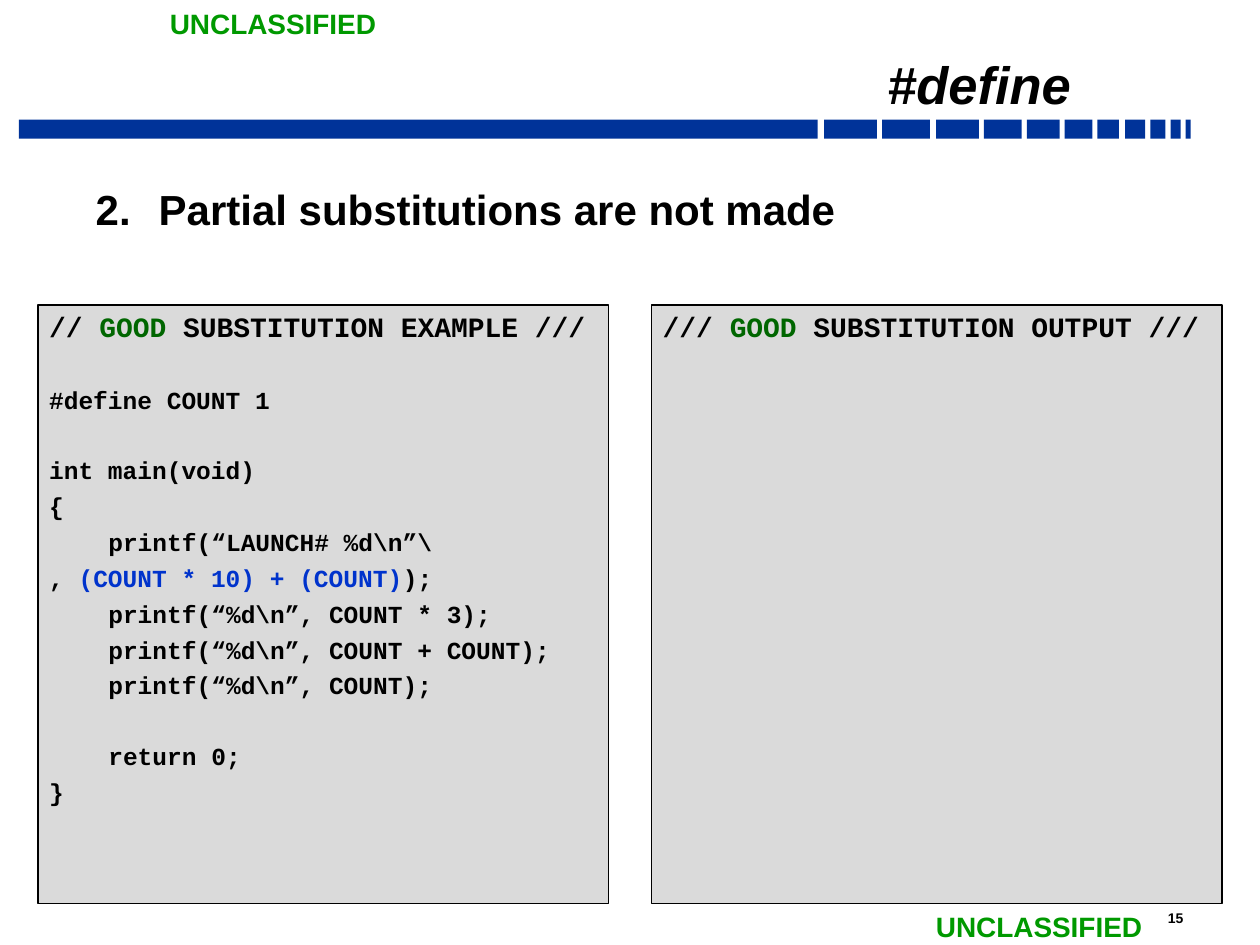
from lxml import etree
from pptx import Presentation
from pptx import util as u
from pptx.dml.color import RGBColor
from pptx.enum import shapes, text
from pptx.oxml import ns

BLACK = RGBColor(0x00, 0x00, 0x00)
NAVY = RGBColor(0x00, 0x33, 0x99)
BLUE = RGBColor(0x00, 0x33, 0xCC)
GREEN = RGBColor(0x00, 0x99, 0x00)
DARK_GREEN = RGBColor(0x00, 0x66, 0x00)
GRAY = RGBColor(0xDA, 0xDA, 0xDA)

BAR_TOP, BAR_HEIGHT = 0.95, 0.15
BARS = [
    (0.15, 6.34), (6.54, 0.42), (7, 0.38), (7.43, 0.34), (7.81, 0.3), (8.15, 0.26),
    (8.45, 0.22), (8.71, 0.17), (8.93, 0.16), (9.13, 0.12), (9.29, 0.08), (9.41, 0.04),
]
MARKINGS = [(1.25, 0), (7.33, 7.17)]
LINE_GAP, SECTION_GAP = 3.7, 23.4
CODE_INDENT = 0.47
EXAMPLE_LINES = [
    (SECTION_GAP, 0, [("#define COUNT 1", BLACK)]),
    (SECTION_GAP, 0, [("int main(void)", BLACK)]),
    (LINE_GAP, 0, [("{", BLACK)]),
    (LINE_GAP, CODE_INDENT, [("printf(“LAUNCH# %d\\n”\\", BLACK)]),
    (LINE_GAP, 0, [(", ", BLACK), ("(COUNT * 10) + (COUNT)", BLUE), (");", BLACK)]),
    (LINE_GAP, CODE_INDENT, [("printf(“%d\\n”, COUNT * 3);", BLACK)]),
    (LINE_GAP, CODE_INDENT, [("printf(“%d\\n”, COUNT + COUNT);", BLACK)]),
    (LINE_GAP, CODE_INDENT, [("printf(“%d\\n”, COUNT);", BLACK)]),
    (SECTION_GAP, CODE_INDENT, [("return 0;", BLACK)]),
    (LINE_GAP, 0, [("}", BLACK)]),
]
PANELS = [
    (5.17, "/// ", " SUBSTITUTION OUTPUT ///", []),
    (0.3, "// ", " SUBSTITUTION EXAMPLE ///", EXAMPLE_LINES),
]


class SlideBuilder:
    """Draws styled elements on the current slide."""

    def __init__(self, slide, body_font="Arial", code_font="Courier New"):
        self.slide = slide
        self.body_font = body_font
        self.code_font = code_font

    def frame(self, box, wrap=True, side=0.09, edge=0.04, anchor=text.MSO_ANCHOR.TOP):
        frame = box.text_frame
        frame.word_wrap = wrap
        frame.vertical_anchor = anchor
        frame.margin_left = frame.margin_right = u.Inches(side)
        frame.margin_top = frame.margin_bottom = u.Inches(edge)
        return frame

    def span(self, para, words, size, color, font=None, italic=False):
        span = para.add_run()
        span.text = words
        span.font.name = font or self.body_font
        span.font.size = u.Pt(size)
        span.font.bold = True
        span.font.italic = italic
        span.font.color.rgb = color

    def rectangle(self, left, top, width, height, fill, line=None):
        box = self.slide.shapes.add_shape(
            shapes.MSO_SHAPE.RECTANGLE,
            u.Inches(left), u.Inches(top), u.Inches(width), u.Inches(height))
        box.shadow.inherit = False
        box.fill.solid()
        box.fill.fore_color.rgb = fill
        if line is None:
            box.line.fill.background()
        else:
            box.line.color.rgb = line
            box.line.width = u.Pt(1)
        return box

    def label(self, left, top, width, height, words, size, color, italic=False, **layout):
        box = self.slide.shapes.add_textbox(
            u.Inches(left), u.Inches(top), u.Inches(width), u.Inches(height))
        para = self.frame(box, **layout).paragraphs[0]
        para.alignment = text.PP_ALIGN.LEFT
        self.span(para, words, size, color, italic=italic)
        return para

    def numbered(self, para, start, margin, hanging):
        props = para._p.get_or_add_pPr()
        props.set("marL", str(u.Inches(margin)))
        props.set("indent", str(-u.Inches(hanging)))
        etree.SubElement(props, ns.qn("a:buAutoNum"), type="arabicPeriod", startAt=str(start))

    def code_line(self, para, gap, indent, spans, size):
        para.alignment = text.PP_ALIGN.LEFT
        para.space_before = u.Pt(gap)
        para._p.get_or_add_pPr().set("marL", str(u.Inches(indent)))
        for words, color in spans:
            self.span(para, words, size, color, self.code_font)

    def code_panel(self, left, heading, lines):
        box = self.rectangle(left, 2.42, 4.53, 4.75, GRAY, BLACK)
        frame = self.frame(box)
        self.code_line(frame.paragraphs[0], LINE_GAP, 0, heading, 16)
        for gap, indent, spans in lines:
            self.code_line(frame.add_paragraph(), gap, indent, spans, 14)


def main():
    deck = Presentation()
    deck.slide_width, deck.slide_height = u.Inches(10), u.Inches(7.5)
    page = SlideBuilder(deck.slides.add_slide(deck.slide_layouts[6]))

    for left, width in BARS:
        page.rectangle(left, BAR_TOP, width, BAR_HEIGHT, NAVY)
    page.label(9.17, 7.17, 0.54, 0.23, "15", 8, BLACK, side=0.1, edge=0.05)
    for left, top in MARKINGS:
        page.label(left, top, 1.86, 0.37, "UNCLASSIFIED", 16, GREEN,
                   wrap=False, side=0.1, edge=0.05)

    point = page.label(0.61, 1.42, 9.07, 0.8, "Partial substitutions are not made", 24, BLACK)
    point.space_before = u.Pt(3)
    page.numbered(point, 2, 0.56, 0.5)

    for left, opening, ending, lines in PANELS:
        heading = [(opening, BLACK), ("GOOD", DARK_GREEN), (ending, BLACK)]
        page.code_panel(left, heading, lines)

    title = page.label(1.67, 0.35, 6.92, 0.59, "#define", 30, BLACK, italic=True,
                       anchor=text.MSO_ANCHOR.BOTTOM)
    title.alignment = text.PP_ALIGN.RIGHT
    title.line_spacing = 0.7

    deck.save("out.pptx")


if __name__ == "__main__":
    main()
